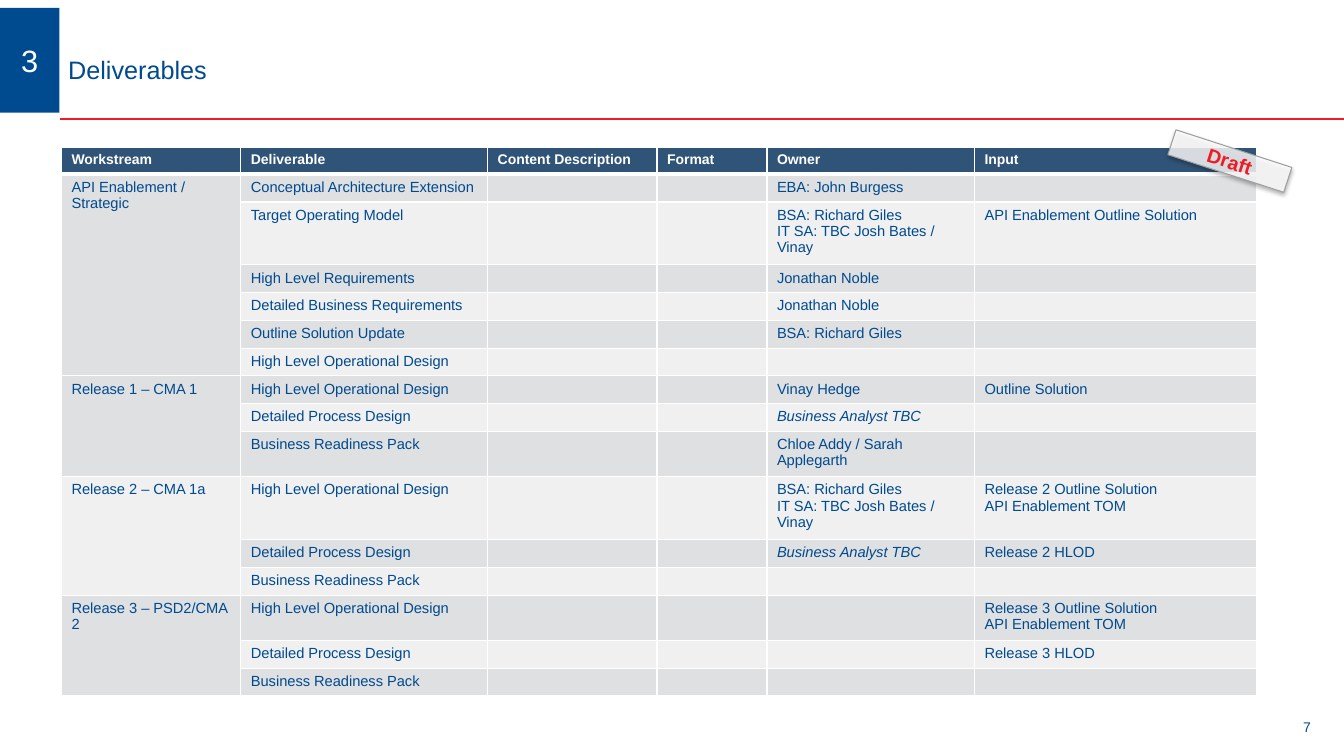
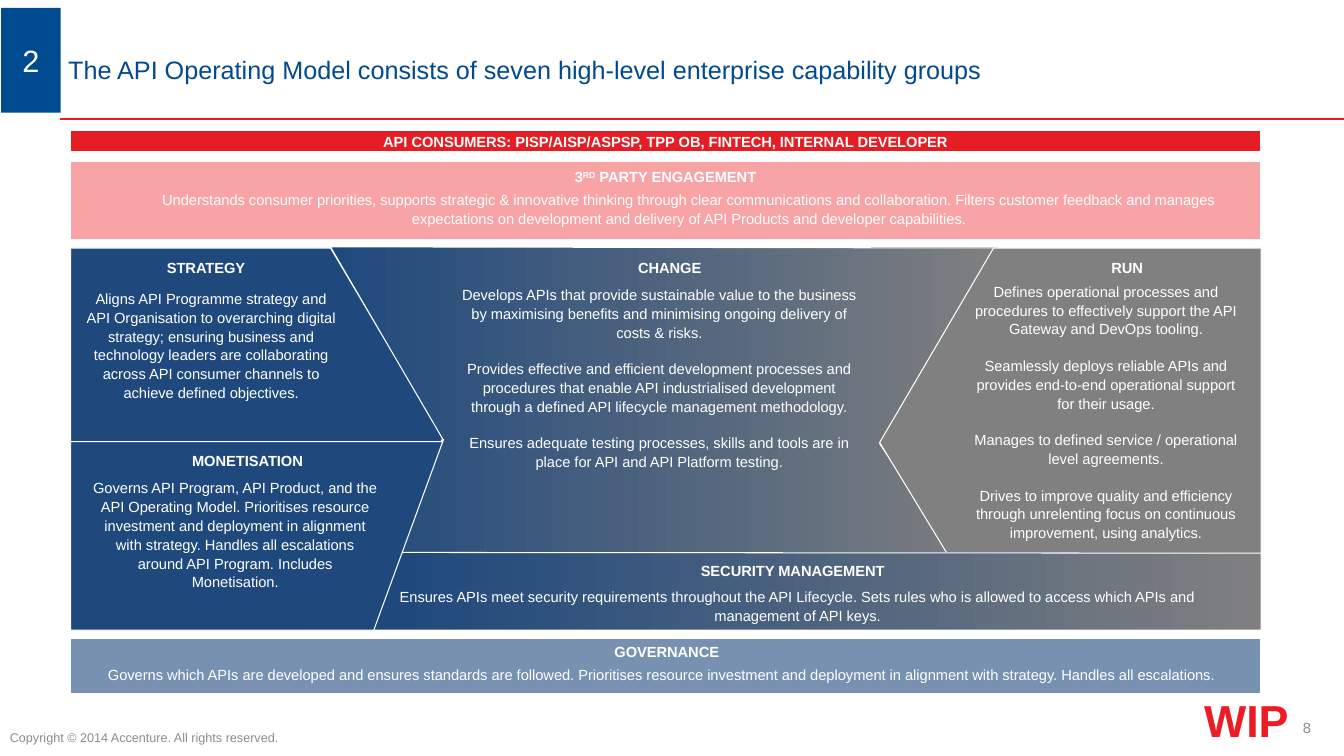
"""Build two slides: the deliverables table and the API operating model."""
from dataclasses import dataclass
from typing import NamedTuple, Optional, Tuple, Union

from lxml.etree import SubElement
from pptx import Presentation
from pptx.dml.color import RGBColor
from pptx.enum.shapes import MSO_CONNECTOR as Connector, MSO_SHAPE as Preset
from pptx.enum.text import MSO_ANCHOR as Anchor, PP_ALIGN as Align
from pptx.oxml.ns import qn
from pptx.util import Cm, Pt


@dataclass(frozen=True)
class Theme:
    font: str = "Arial"
    blue: str = "004A8F"
    navy: str = "1F497D"
    red: str = "ED1C24"
    band_red: str = "E51D24"
    pink: str = "F8A4A7"
    gray: str = "808080"
    fade: str = "7F7F7F"
    muted: str = "8C8C8C"
    stamp_edge: str = "9C9FA2"
    white: str = "FFFFFF"
    black: str = "000000"
    header: str = "305477"
    stripes: Tuple[str, str] = ("F0F0F1", "DFE0E1")
    small: float = 9
    label: float = 10
    body: float = 10.5
    stamp: float = 14
    title: float = 18
    number: float = 22
    status: float = 32


THEME = Theme()


class Box(NamedTuple):
    left: float
    top: float
    width: float
    height: float

    def lengths(self) -> tuple:
        return tuple(Cm(value) for value in self)


class Outline(NamedTuple):
    points: tuple


class Deliverable(NamedTuple):
    name: str
    owner: str = ""
    source: str = ""


class Workstream(NamedTuple):
    name: str
    deliverables: tuple


@dataclass(frozen=True)
class Panel:
    area: Union[Box, Outline]
    fill: str
    heading: str
    heading_box: Box
    body: str
    body_box: Box
    alpha: Optional[int] = None
    fade_from: Optional[float] = None


COLUMNS = {"Workstream": 4.52, "Deliverable": 6.22, "Content Description": 4.27,
           "Format": 2.77, "Owner": 5.23, "Input": 7.11}
ANALYST = "Business Analyst TBC"
DESIGN, PROCESS, READINESS = ("High Level Operational Design", "Detailed Process Design",
                              "Business Readiness Pack")
ARCHITECTS = "BSA: Richard Giles\nIT SA: TBC Josh Bates / Vinay"

WORKSTREAMS = (
    Workstream("API Enablement / Strategic", (
        Deliverable("Conceptual Architecture Extension", "EBA: John Burgess"),
        Deliverable("Target Operating Model", ARCHITECTS, "API Enablement Outline Solution"),
        Deliverable("High Level Requirements", "Jonathan Noble"),
        Deliverable("Detailed Business Requirements", "Jonathan Noble"),
        Deliverable("Outline Solution Update", "BSA: Richard Giles"),
        Deliverable(DESIGN))),
    Workstream("Release 1 – CMA 1", (
        Deliverable(DESIGN, "Vinay Hedge", "Outline Solution"),
        Deliverable(PROCESS, ANALYST),
        Deliverable(READINESS, "Chloe Addy / Sarah Applegarth"))),
    Workstream("Release 2 – CMA 1a", (
        Deliverable(DESIGN, ARCHITECTS, "Release 2 Outline Solution\nAPI Enablement TOM"),
        Deliverable(PROCESS, ANALYST, "Release 2 HLOD"),
        Deliverable(READINESS))),
    Workstream("Release 3 – PSD2/CMA 2", (
        Deliverable(DESIGN, "", "Release 3 Outline Solution\nAPI Enablement TOM"),
        Deliverable(PROCESS, "", "Release 3 HLOD"),
        Deliverable(READINESS))),
)

PANELS = (
    Panel(Box(1.78, 4.06, 30, 1.98), THEME.pink,
          "3^RD^ PARTY ENGAGEMENT", Box(1.75, 4.24, 30.05, 0.71),
          "Understands consumer priorities, supports strategic & innovative thinking through "
          "clear communications and collaboration. Filters customer feedback and manages "
          "expectations on development and delivery of API Products and developer capabilities.",
          Box(3.15, 4.65, 28.45, 1.14)),
    Panel(Outline(((9.42, 15.88), (11.18, 11.05), (8.33, 6.25), (1.78, 6.25), (1.78, 15.88))),
          THEME.navy, "STRATEGY", Box(1.98, 6.53, 6.43, 0.71),
          "Aligns API Programme strategy and API Organisation to overarching digital strategy; "
          "ensuring business and technology leaders are collaborating across API consumer "
          "channels to achieve defined objectives.",
          Box(1.91, 7.14, 6.83, 2.95)),
    Panel(Box(1.78, 16.08, 30, 1.4), THEME.navy,
          "GOVERNANCE", Box(1.78, 16.21, 30.05, 0.71),
          "Governs which APIs are developed and ensures standards are followed. Prioritises "
          "resource investment and deployment in alignment with strategy. Handles all "
          "escalations.",
          Box(2.16, 16.61, 29.06, 1.14), alpha=60),
    Panel(Outline(((25.15, 6.25), (22.17, 11.18), (25.22, 15.8), (9.45, 15.75),
                   (11.15, 11.05), (8.33, 6.22))),
          THEME.navy, "CHANGE", Box(9.22, 6.53, 15.32, 0.56),
          "Develops APIs that provide sustainable value to the business by maximising benefits "
          "and minimising ongoing delivery of costs & risks.\n"
          "Provides effective and efficient development processes and procedures that enable "
          "API industrialised development through a defined API lifecycle management "
          "methodology.\n"
          "Ensures adequate testing processes, skills and tools are in place for API and API "
          "Platform testing.",
          Box(11.35, 7.04, 10.54, 4.75), fade_from=0),
    Panel(Outline(((31.78, 6.25), (31.78, 15.88), (25.04, 15.88), (22.17, 11.15),
                   (25.04, 6.25))),
          THEME.gray, "RUN", Box(25.04, 6.53, 6.73, 0.51),
          "Defines operational processes and procedures to effectively support the API Gateway "
          "and DevOps tooling.\n"
          "Seamlessly deploys reliable APIs and provides end-to-end operational support for "
          "their usage.\n"
          "Manages to defined service / operational level agreements.\n"
          "Drives to improve quality and efficiency through unrelenting focus on continuous "
          "improvement, using analytics.",
          Box(24.23, 6.96, 7.29, 6.53)),
    Panel(Outline(((8.08, 13.92), (31.78, 13.94), (31.78, 15.88), (7.65, 15.88))),
          THEME.navy, "SECURITY MANAGEMENT", Box(16.79, 14.15, 6.38, 0.74),
          "Ensures APIs meet security requirements throughout the API Lifecycle. Sets rules who "
          "is allowed to access which APIs and management of API keys.",
          Box(8.79, 14.66, 22.63, 1.14), fade_from=0.1),
    Panel(Outline(((9.42, 15.88), (11.18, 11.07), (11.13, 11.13), (1.78, 11.13),
                   (1.78, 15.88))),
          THEME.navy, "MONETISATION", Box(1.91, 11.38, 8.66, 0.58),
          "Governs API Program, API Product, and the API Operating Model. Prioritises resource "
          "investment and deployment in alignment\vwith strategy. Handles all escalations\v"
          "around API Program. Includes Monetisation.",
          Box(2.08, 11.91, 7.7, 2.95)),
)


def rgb(color: str) -> RGBColor:
    return RGBColor.from_string(color)


def write(frame, text: str, *, size: float = THEME.body, color: str = THEME.blue,
          bold: bool = False, italic: bool = False, align=Align.LEFT,
          gap: float = 0, spacing: Optional[float] = None) -> None:
    for number, content in enumerate(text.split("\n")):
        paragraph = frame.add_paragraph() if number else frame.paragraphs[0]
        paragraph.alignment = align
        if number and gap:
            paragraph.space_before = Pt(gap)
        if spacing:
            paragraph.line_spacing = spacing
        if not content:
            SubElement(paragraph._p, qn("a:endParaRPr"), sz=str(int(size * 100)))
            continue
        for row, line in enumerate(content.split("\v")):
            if row:
                paragraph.add_line_break()
            for index, piece in enumerate(line.split("^")):
                run = paragraph.add_run()
                run.text = piece
                font = run.font
                font.name, font.size, font.bold, font.italic = THEME.font, Pt(size), bold, italic
                font.color.rgb = rgb(color)
                if index % 2:
                    run._r.get_or_add_rPr().set("baseline", "30000")


def set_frame(frame, anchor, inset: Tuple[float, float]) -> None:
    frame.word_wrap = True
    frame.vertical_anchor = anchor
    frame.margin_left = frame.margin_right = Cm(inset[0])
    frame.margin_top = frame.margin_bottom = Cm(inset[1])


def add_text(slide, box: Box, text: str, *, anchor=Anchor.TOP,
             inset: Tuple[float, float] = (0.25, 0.13), **style) -> None:
    frame = slide.shapes.add_textbox(*box.lengths()).text_frame
    set_frame(frame, anchor, inset)
    write(frame, text, **style)


def add_area(slide, area: Union[Box, Outline], fill: str, *, line: Optional[str] = THEME.white,
             alpha: Optional[int] = None, fade_from: Optional[float] = None):
    if isinstance(area, Box):
        shape = slide.shapes.add_shape(Preset.RECTANGLE, *area.lengths())
    else:
        corners = [(Cm(x), Cm(y)) for x, y in area.points]
        builder = slide.shapes.build_freeform(*corners[0], scale=1.0)
        builder.add_line_segments(corners[1:], close=True)
        shape = builder.convert_to_shape()
    shape.shadow.inherit = False
    if fade_from is None:
        shape.fill.solid()
        shape.fill.fore_color.rgb = rgb(fill)
    else:
        shape.fill.gradient()
        shape.fill.gradient_angle = 0
        stops = shape.fill.gradient_stops
        for stop, position, color in zip(stops, (fade_from, 1), (fill, THEME.fade)):
            stop.position, stop.color.rgb = position, rgb(color)
    if alpha is not None:
        color_element = shape.element.spPr.find(qn("a:solidFill"))[0]
        SubElement(color_element, qn("a:alpha"), val=str(alpha * 1000))
    if line:
        shape.line.color.rgb = rgb(line)
        shape.line.width = Pt(0.75)
    else:
        shape.line.fill.background()
    return shape


def add_label(slide, box: Box, text: str, fill: str, *, line: Optional[str] = None,
              alpha: Optional[int] = None, **style):
    shape = add_area(slide, box, fill, line=line, alpha=alpha)
    set_frame(shape.text_frame, Anchor.MIDDLE, (0.2, 0.1))
    write(shape.text_frame, text, align=Align.CENTER, **style)
    return shape


def add_base(presentation, title: str, section: str, page: str, *, tag_left: float = 0,
             page_size: float = THEME.body, page_color: str = THEME.muted):
    slide = presentation.slides.add_slide(presentation.slide_layouts[6])
    rule = slide.shapes.add_connector(Connector.STRAIGHT, Cm(1.52), Cm(3), Cm(33.87), Cm(3))
    rule.line.color.rgb, rule.line.width = rgb(THEME.red), Pt(2)
    SubElement(rule.element.spPr, qn("a:effectLst"))
    add_text(slide, Box(32.26, 17.6, 1.35, 1.45), page, anchor=Anchor.MIDDLE,
             size=page_size, color=page_color, align=Align.CENTER)
    add_text(slide, Box(1.42, 0.53, 30.76, 2.44), title, anchor=Anchor.MIDDLE,
             inset=(0.3, 0.13), size=THEME.title)
    add_label(slide, Box(tag_left, 0.2, 1.5, 2.64), section, THEME.blue,
              size=THEME.number, color=THEME.white)
    return slide


def fill_cell(cell, text: str, fill: str, *, bottom: float = 1, **style) -> None:
    properties = cell._tc.get_or_add_tcPr()
    for side, width in zip("LRTB", (1, 1, 1, bottom)):
        border = SubElement(properties, qn(f"a:ln{side}"), w=str(Pt(width)))
        SubElement(SubElement(border, qn("a:solidFill")), qn("a:srgbClr"), val=THEME.white)
    cell.fill.solid()
    cell.fill.fore_color.rgb = rgb(fill)
    write(cell.text_frame, text, **style)


def add_deliverables(slide) -> None:
    rows = 1 + sum(len(stream.deliverables) for stream in WORKSTREAMS)
    box = Box(1.55, 3.71, sum(COLUMNS.values()), rows * 0.53)
    table = slide.shapes.add_table(rows, len(COLUMNS), *box.lengths()).table
    table.horz_banding = False
    for index, (name, width) in enumerate(COLUMNS.items()):
        table.columns[index].width = Cm(width)
        fill_cell(table.cell(0, index), name, THEME.header, bottom=3,
                  size=THEME.label, color=THEME.white, bold=True)
    row = 1
    for stream in WORKSTREAMS:
        first = row
        for item in stream.deliverables:
            name = stream.name if row == first else ""
            texts = (name, item.name, "", "", item.owner, item.source)
            for index, text in enumerate(texts):
                fill_cell(table.cell(row, index), text, THEME.stripes[row % 2],
                          italic=text == ANALYST)
            row += 1
        table.cell(first, 0).merge(table.cell(row - 1, 0))


def add_draft_stamp(slide) -> None:
    stamp = add_label(slide, Box(29.46, 3.73, 3.07, 0.66), "Draft", THEME.white, alpha=82,
                      line=THEME.stamp_edge, size=THEME.stamp, color=THEME.red, bold=True)
    stamp.rotation = 18
    shadow = SubElement(stamp.element.spPr.find(qn("a:effectLst")), qn("a:outerShdw"),
                        blurRad=str(Pt(3.1)), dist=str(Pt(1.8)), dir="5400000")
    color = SubElement(shadow, qn("a:srgbClr"), val=THEME.black)
    SubElement(color, qn("a:alpha"), val="35000")


def add_panel(slide, panel: Panel) -> None:
    add_area(slide, panel.area, panel.fill, alpha=panel.alpha, fade_from=panel.fade_from)
    add_text(slide, panel.heading_box, panel.heading, inset=(0, 0), color=THEME.white,
             bold=True, align=Align.CENTER)
    add_text(slide, panel.body_box, panel.body, color=THEME.white, align=Align.CENTER,
             gap=12.6, spacing=1.07)


def main() -> None:
    presentation = Presentation()
    presentation.slide_width, presentation.slide_height = Cm(33.87), Cm(19.05)

    slide = add_base(presentation, "Deliverables", "3", "7",
                     page_size=THEME.label, page_color=THEME.blue)
    add_deliverables(slide)
    add_draft_stamp(slide)

    slide = add_base(presentation, "The API Operating Model consists of seven high-level "
                     "enterprise capability groups", "2", "8", tag_left=0.03)
    add_text(slide, Box(0, 18.26, 15.16, 0.79),
             "Copyright © 2014 Accenture. All rights reserved.",
             size=THEME.small, color=THEME.muted)
    add_label(slide, Box(1.78, 3.3, 30, 0.53),
              "API CONSUMERS: PISP/AISP/ASPSP, TPP OB, FINTECH, INTERNAL DEVELOPER",
              THEME.band_red, line=THEME.white, color=THEME.white, bold=True)
    for panel in PANELS:
        add_panel(slide, panel)
    add_text(slide, Box(29.9, 17.32, 3.02, 1.63), "WIP", size=THEME.status,
             color=THEME.red, bold=True, align=Align.CENTER)
    presentation.save("out.pptx")


if __name__ == "__main__":
    main()
